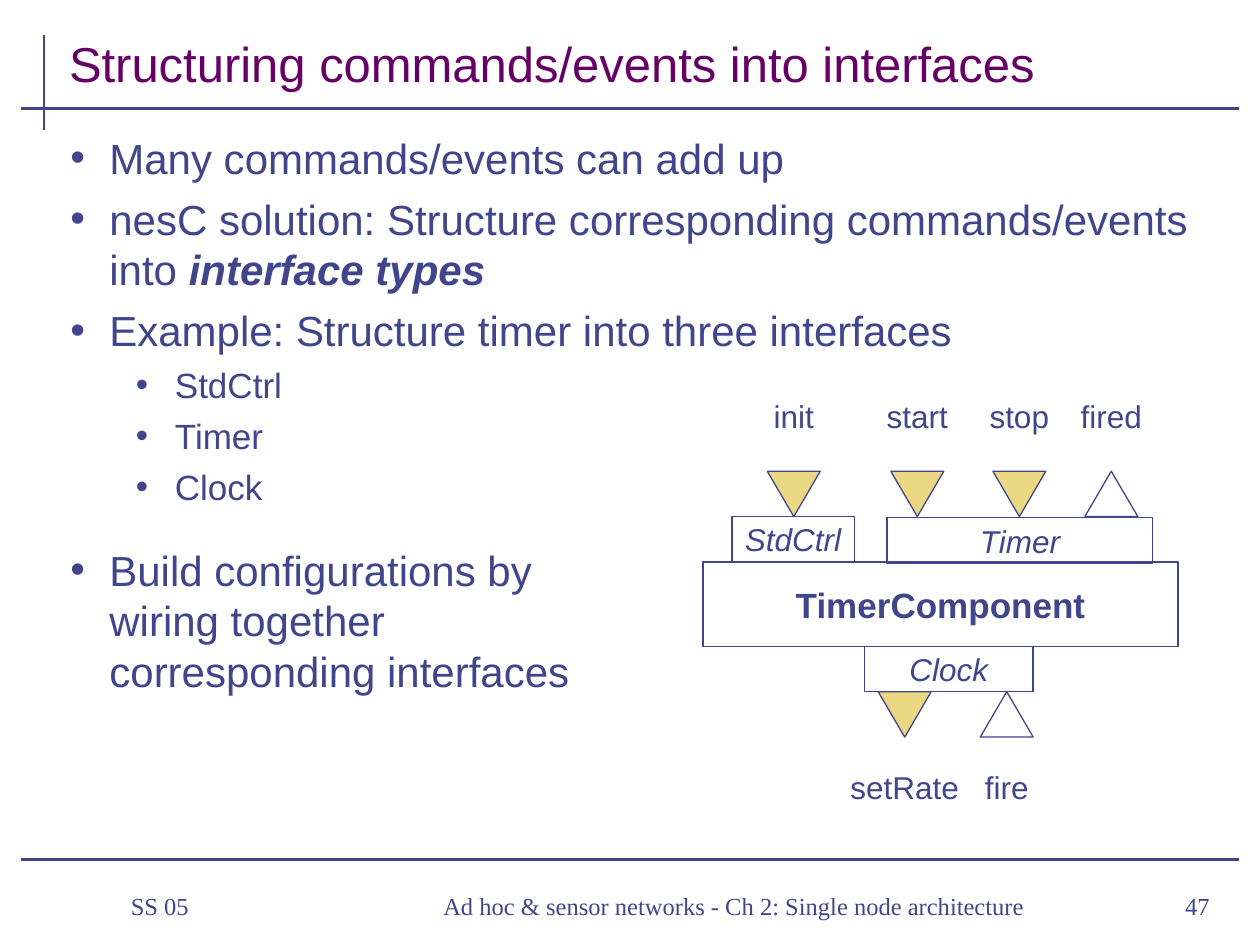
import pptx
import pptx.dml.color
import pptx.enum.shapes
import pptx.enum.text
import pptx.oxml.ns
import pptx.util
from lxml import etree

Inches = pptx.util.Inches
Pt = pptx.util.Pt
Align = pptx.enum.text.PP_ALIGN
Anchor = pptx.enum.text.MSO_ANCHOR
Shapes = pptx.enum.shapes.MSO_SHAPE
qn = pptx.oxml.ns.qn

COLORS = {"ink": "40458C", "title": "660066", "command": "ECD882"}


def rgb(name):
    return pptx.dml.color.RGBColor.from_string(COLORS[name])


def set_bullet(paragraph, left, hanging):
    properties = paragraph._p.get_or_add_pPr()
    properties.set("marL", str(Inches(left)))
    properties.set("indent", str(-Inches(hanging)))
    color = etree.SubElement(properties, qn("a:buClr"))
    etree.SubElement(color, qn("a:srgbClr")).set("val", COLORS["ink"])
    etree.SubElement(properties, qn("a:buFont")).set("typeface", "Arial")
    etree.SubElement(properties, qn("a:buChar")).set("char", "•")


def add_run(paragraph, text, size=18, font="Arial", color="ink", bold=False, italic=False):
    run = paragraph.add_run()
    run.text = text
    run.font.size = Pt(size)
    run.font.name = font
    run.font.color.rgb = rgb(color)
    run.font.bold = bold
    run.font.italic = italic


def add_text_box(slide, left, top, width, height, anchor=Anchor.TOP, wrap=True):
    shape = slide.shapes.add_textbox(Inches(left), Inches(top), Inches(width), Inches(height))
    shape.text_frame.word_wrap = wrap
    shape.text_frame.vertical_anchor = anchor
    return shape.text_frame


def add_line(slide, x1, y1, x2, y2):
    line = slide.shapes.add_connector(
        pptx.enum.shapes.MSO_CONNECTOR.STRAIGHT, Inches(x1), Inches(y1), Inches(x2), Inches(y2))
    line.line.color.rgb = rgb("ink")
    line.line.width = Pt(1.5)
    etree.SubElement(line._element.spPr, qn("a:effectLst"))


def add_outlined_shape(slide, kind, left, top, width, height, fill=None):
    shape = slide.shapes.add_shape(kind, Inches(left), Inches(top), Inches(width), Inches(height))
    shape.shadow.inherit = False
    if fill:
        shape.fill.solid()
        shape.fill.fore_color.rgb = rgb(fill)
    else:
        shape.fill.background()
    shape.line.color.rgb = rgb("ink")
    shape.line.width = Pt(0.75)
    return shape


def add_component(slide, text, left, top, width, height, **text_format):
    shape = add_outlined_shape(slide, Shapes.RECTANGLE, left, top, width, height)
    shape.text_frame.word_wrap = False
    shape.text_frame.vertical_anchor = Anchor.MIDDLE
    paragraph = shape.text_frame.paragraphs[0]
    paragraph.alignment = Align.CENTER
    add_run(paragraph, text, **text_format)


def add_port(slide, text, center, triangle_top, label_top, label_width, is_command):
    triangle = add_outlined_shape(
        slide, Shapes.ISOSCELES_TRIANGLE, center - 0.21, triangle_top, 0.42, 0.36,
        fill="command" if is_command else None)
    triangle.rotation = 180 if is_command else 0
    frame = add_text_box(slide, center - label_width / 2, label_top, label_width, 0.4, wrap=False)
    frame.margin_left = frame.margin_right = Inches(0.02)
    frame.paragraphs[0].alignment = Align.CENTER
    add_run(frame.paragraphs[0], text)


def add_bullets(slide, items, left, top, width, height):
    frame = add_text_box(slide, left, top, width, height)
    for index, (level, runs) in enumerate(items):
        paragraph = frame.paragraphs[0] if index == 0 else frame.add_paragraph()
        set_bullet(paragraph, 0.83 if level else 0.31, 0.31)
        paragraph.level = level
        if index:
            paragraph.space_before = Pt(5 if level else 6)
        for text, text_format in runs:
            add_run(paragraph, text, size=20 if level else 24, **text_format)


def add_footer(slide, text, left, width, alignment):
    frame = add_text_box(slide, left, 6.93, width, 0.52, anchor=Anchor.MIDDLE)
    paragraph = frame.paragraphs[0]
    paragraph.alignment = alignment
    paragraph._p.get_or_add_pPr().set("marL", str(Inches(0.24)))
    add_run(paragraph, text, size=14, font="Times New Roman")


def add_timer_diagram(slide):
    add_component(slide, "TimerComponent", 5.58, 4.46, 3.77, 0.67, size=20, bold=True)
    for text, left, top, width in [
        ("StdCtrl", 5.81, 4.1, 0.97),
        ("Timer", 7.04, 4.11, 2.11),
        ("Clock", 6.86, 5.13, 1.34),
    ]:
        add_component(slide, text, left, top, width, 0.36, italic=True)
    for text, center, label_width, is_command in [
        ("init", 6.3, 0.52, True),
        ("start", 7.28, 0.68, True),
        ("stop", 8.09, 0.67, True),
        ("fired", 8.82, 0.68, False),
    ]:
        add_port(slide, text, center, 3.74, 3.1, label_width, is_command)
    for text, center, label_width, is_command in [
        ("setRate", 7.18, 1.06, True),
        ("fire", 7.99, 0.54, False),
    ]:
        add_port(slide, text, center, 5.49, 6.05, label_width, is_command)


def main():
    presentation = pptx.Presentation()
    presentation.slide_width = Inches(10)
    presentation.slide_height = Inches(7.5)
    slide = presentation.slides.add_slide(presentation.slide_layouts[6])

    add_line(slide, 0.35, 0.28, 0.35, 1.03)
    for y in (0.86, 6.82):
        add_line(slide, 0.17, y, 9.83, y)

    add_timer_diagram(slide)

    title = add_text_box(slide, 0.45, 0.16, 9.33, 0.62, anchor=Anchor.BOTTOM)
    add_run(title.paragraphs[0], "Structuring commands/events into interfaces",
            size=28, color="title")

    add_bullets(slide, [
        (0, [("Many commands/events can add up", {})]),
        (0, [("nesC solution: Structure corresponding commands/events into ", {}),
             ("interface types", {"bold": True, "italic": True})]),
        (0, [("Example: Structure timer into three interfaces", {})]),
        (1, [("StdCtrl", {})]),
        (1, [("Timer", {})]),
        (1, [("Clock", {})]),
    ], 0.46, 1, 9.28, 3.23)
    add_bullets(slide, [
        (0, [("Build configurations by wiring together corresponding interfaces", {})]),
    ], 0.46, 4.27, 4.68, 2.45)

    add_footer(slide, "SS 05", 0.7, 1.74, Align.LEFT)
    add_footer(slide, "Ad hoc & sensor networks - Ch 2: Single node architecture",
               2.6, 6.21, Align.CENTER)
    add_footer(slide, "47", 8.97, 0.73, Align.RIGHT)

    presentation.save("out.pptx")


if __name__ == "__main__":
    main()
